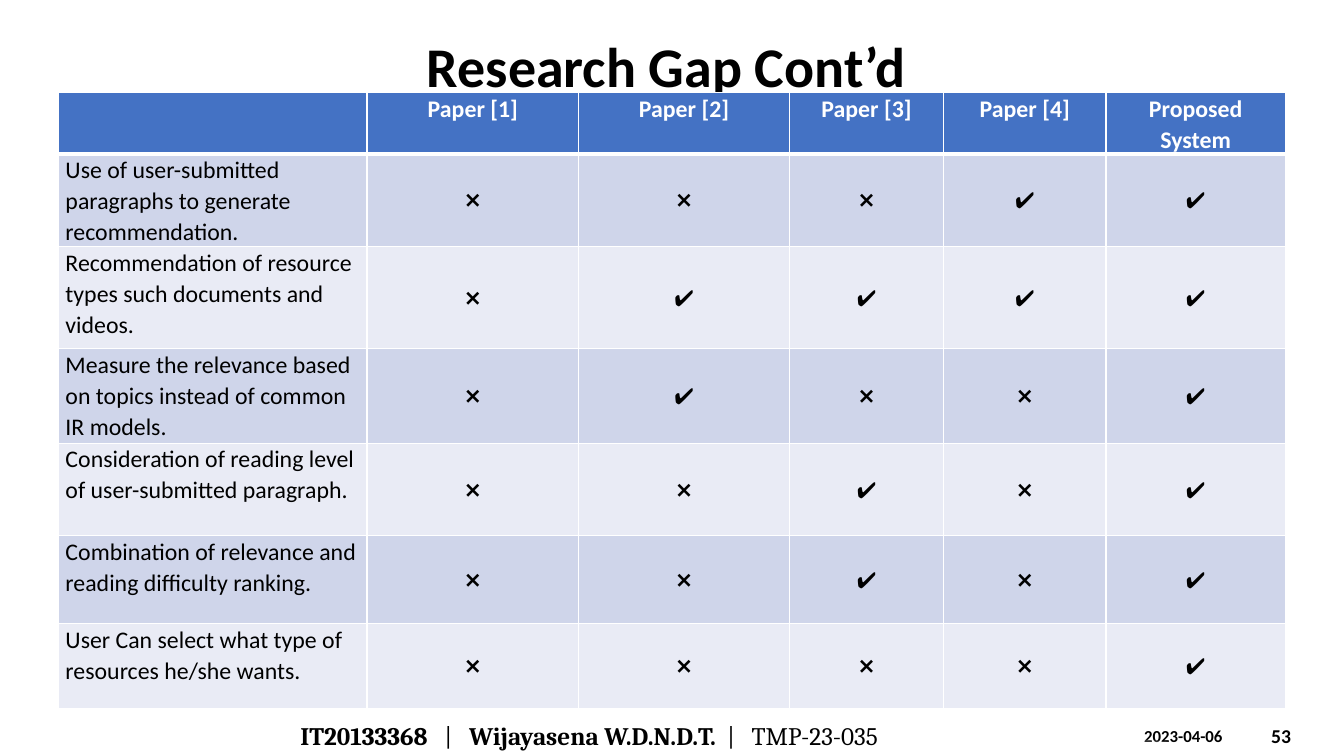
from lxml.etree import SubElement
from pptx import Presentation
from pptx.dml.color import RGBColor
from pptx.enum.shapes import MSO_SHAPE as SHAPE
from pptx.enum.text import MSO_ANCHOR as ANCHOR, MSO_AUTO_SIZE as AUTO, PP_ALIGN as ALIGN
from pptx.oxml import parse_xml
from pptx.oxml.ns import nsdecls, qn
from pptx.util import Emu, Pt

SCALE = 9144
BLACK = RGBColor(0x00, 0x00, 0x00)
WHITE = RGBColor(0xFF, 0xFF, 0xFF)
HEADER_BLUE = RGBColor(0x44, 0x72, 0xC4)
BANDS = (RGBColor(0xCF, 0xD5, 0xEA), RGBColor(0xE9, 0xEB, 0xF5))

COL_WIDTHS = (306, 210, 209, 153, 161, 178)
ROW_HEIGHTS = (60, 92, 101, 94, 92, 87, 84)
HEADERS = ("", "Paper [1]", "Paper [2]", "Paper [3]", "Paper [4]", "Proposed System")
CRITERIA = (
    ("Use of user-submitted paragraphs to generate recommendation.", "❌❌❌✔✔"),
    ("Recommendation of resource types such documents and videos.", "❌✔✔✔✔"),
    ("Measure the relevance based on topics instead of common IR models.", "❌✔❌❌✔"),
    ("Consideration of reading level of user-submitted paragraph.", "❌❌✔❌✔"),
    ("Combination of relevance and reading difficulty ranking.", "❌❌✔❌✔"),
    ("User Can select what type of resources he/she wants.", "❌❌❌❌✔"),
)


def px(n):
    return Emu(n * SCALE)


def set_attrs(obj, **values):
    for name, value in values.items():
        setattr(obj, name, value)


def add_run(p, text, size, bold=False, color=BLACK, font="Calibri"):
    r = p.add_run()
    r.text = text
    set_attrs(r.font, size=Pt(size), bold=bold, name=font)
    r.font.color.rgb = color


def add_title(s, text):
    sp = s.shapes.title
    set_attrs(sp, left=px(393), top=px(26), width=px(536), height=px(58))
    tf = sp.text_frame
    set_attrs(tf, auto_size=AUTO.NONE, vertical_anchor=ANCHOR.TOP, word_wrap=True)
    p = tf.paragraphs[0]
    p.alignment = ALIGN.CENTER
    add_run(p, text, 40, True)


def add_text(s, box, runs, size, font="Calibri", anchor=ANCHOR.MIDDLE):
    tf = s.shapes.add_textbox(*map(px, box)).text_frame
    set_attrs(tf, word_wrap=True, vertical_anchor=anchor)
    for text, bold in runs:
        add_run(tf.paragraphs[0], text, size, bold, font=font)


def add_footer_triangle(s, top, height, apex):
    sp = s.shapes.add_shape(SHAPE.ISOSCELES_TRIANGLE, 0, px(top), px(1333), px(height))
    sp.adjustments[0] = apex
    sp.shadow.inherit = False
    sp.line.fill.background()
    sp.fill.solid()
    sp.fill.fore_color.rgb = WHITE
    color = sp.fill._xPr.find(qn("a:solidFill"))[0]
    SubElement(color, qn("a:alpha")).set("val", "20000")


def set_border(cell, side, points):
    line = parse_xml(
        f'<a:{side} {nsdecls("a")} w="{Pt(points)}"><a:solidFill>'
        f'<a:srgbClr val="{WHITE}"/></a:solidFill></a:{side}>')
    tc_pr = cell._tc.get_or_add_tcPr()
    tc_pr.insert(len(tc_pr.findall(qn("a:lnL")) + tc_pr.findall(qn("a:lnR"))
                     + tc_pr.findall(qn("a:lnT"))), line)


def fill_cell(cell, text, fill, size, align=ALIGN.LEFT, anchor=ANCHOR.TOP,
              bold=False, color=BLACK):
    set_attrs(cell, margin_left=px(7), margin_right=px(7), margin_top=0,
              margin_bottom=0, vertical_anchor=anchor)
    cell.fill.solid()
    cell.fill.fore_color.rgb = fill
    if text:
        p = cell.text_frame.paragraphs[0]
        set_attrs(p, alignment=align, line_spacing=1.07)
        add_run(p, text, size, bold, color)


def add_comparison(s):
    table = s.shapes.add_table(
        len(ROW_HEIGHTS), len(COL_WIDTHS), px(58), px(92),
        px(sum(COL_WIDTHS)), px(sum(ROW_HEIGHTS))).table
    for col, width in zip(table.columns, COL_WIDTHS):
        col.width = px(width)
    for row, height in zip(table.rows, ROW_HEIGHTS):
        row.height = px(height)
    for c, text in enumerate(HEADERS):
        cell = table.cell(0, c)
        fill_cell(cell, text, HEADER_BLUE, 17, ALIGN.CENTER, bold=True, color=WHITE)
        for side, points in (("lnL", 1), ("lnR", 1), ("lnT", 1), ("lnB", 3)):
            set_border(cell, side, points)
    for i, (criterion, marks) in enumerate(CRITERIA):
        band = BANDS[i % 2]
        fill_cell(table.cell(i + 1, 0), criterion, band, 17)
        for c, mark in enumerate(marks, 1):
            fill_cell(table.cell(i + 1, c), mark, band, 16, ALIGN.CENTER, ANCHOR.MIDDLE)


def main():
    prs = Presentation()
    set_attrs(prs, slide_width=px(1333), slide_height=px(750))
    s = prs.slides.add_slide(prs.slide_layouts[5])
    add_text(s, (1125, 715, 117, 30), [("2023-04-06", True)], 12, anchor=ANCHOR.TOP)
    add_footer_triangle(s, 709, 41, 0.63)
    add_footer_triangle(s, 730, 20, 0.39)
    add_text(s, (1251, 710, 74, 40), [("53", True)], 14)
    add_title(s, "Research Gap Cont’d")
    add_text(s, (288, 710, 745, 40), [
        ("IT20133368", True),
        ("   |   ", False),
        ("Wijayasena W.D.N.D.T.  ", True),
        ("|   TMP-23-035", False),
    ], 18, "Cambria")
    add_comparison(s)
    prs.save("out.pptx")


if __name__ == "__main__":
    main()
